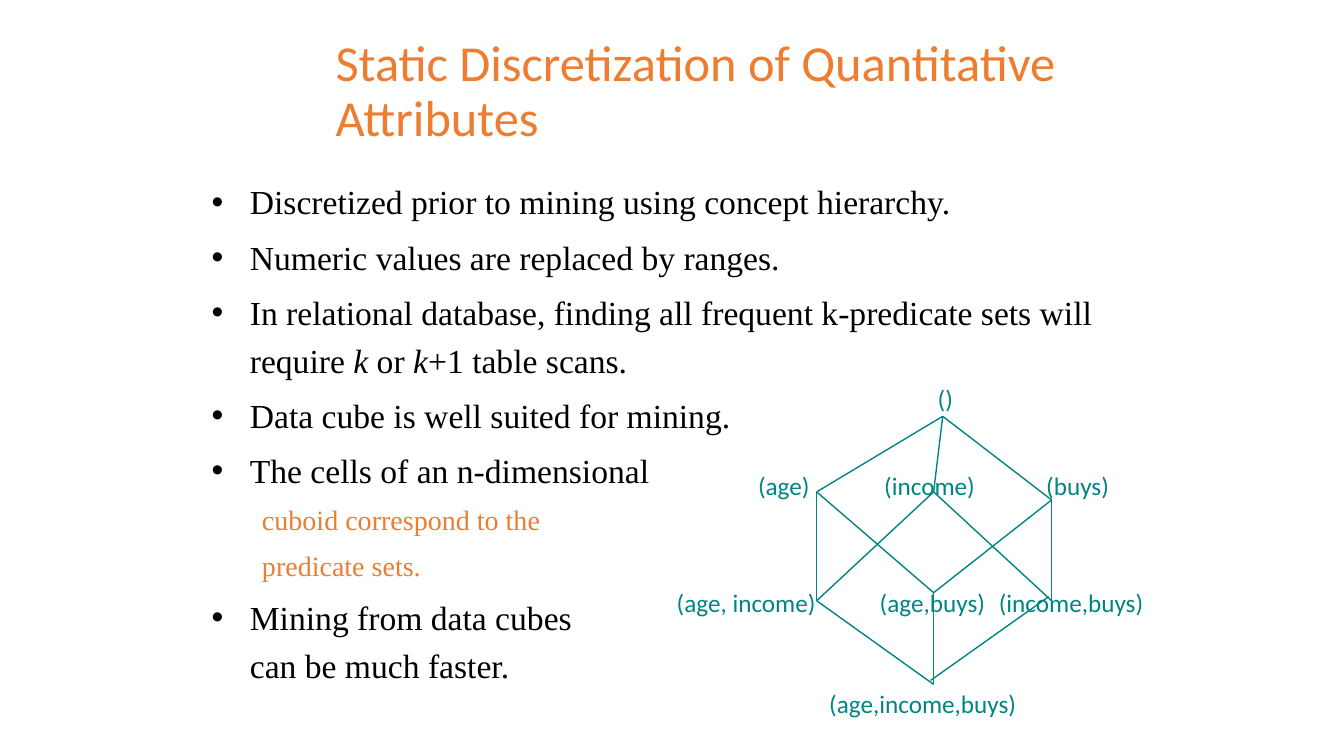
"""Build the slide on static discretization with its lattice of data cuboids."""
from dataclasses import dataclass

from lxml.etree import SubElement
from pptx import Presentation
from pptx.dml.color import RGBColor as Rgb
from pptx.enum.shapes import MSO_CONNECTOR as Connector
from pptx.enum.text import MSO_ANCHOR as Anchor, MSO_AUTO_SIZE as AutoSize, PP_ALIGN as Align
from pptx.oxml.ns import qn
from pptx.slide import Slide
from pptx.text.text import Font, _Paragraph as Paragraph
from pptx.util import Inches, Pt


@dataclass(frozen=True)
class Theme:
    accent: Rgb = Rgb(0xED, 0x7D, 0x31)
    ink: Rgb = Rgb(0, 0, 0)
    lattice: Rgb = Rgb(0x00, 0x84, 0x84)
    sans: str = "Calibri"
    serif: str = "Times New Roman"
    title_size: int = 36
    point_size: int = 24
    detail_size: int = 20
    label_size: int = 18
    edge_width: int = 1


@dataclass(frozen=True)
class Point:
    pieces: tuple[str, ...]
    detail: bool = False


@dataclass(frozen=True)
class Label:
    text: str
    left: float
    top: float
    width: float
    height: float = 0.3
    inset: float = 0


@dataclass(frozen=True)
class Edge:
    start: str
    end: str
    dx: float = 0
    dy: float = 0


THEME = Theme()

POINTS = (
    Point(("Discretized prior to mining using concept hierarchy.",)),
    Point(("Numeric values are replaced by ranges.",)),
    Point(("In relational database, finding all frequent k-predicate sets will require ",
           "k", " or ", "k", "+1 table scans.")),
    Point(("Data cube is well suited for mining.",)),
    Point(("The cells of an n-dimensional",)),
    Point(("cuboid correspond to the",), detail=True),
    Point(("predicate sets.",), detail=True),
    Point(("Mining from data cubes\ncan be much faster.",)),
)

NODES = {
    "apex": (9.35, 4.13),
    "age": (8.1, 4.88),
    "income": (9.26, 4.88),
    "buys": (10.43, 4.96),
    "age income": (8.1, 5.96),
    "age buys": (9.26, 5.88),
    "income buys": (10.43, 5.96),
    "base": (9.26, 6.79),
}

EDGES = (
    Edge("apex", "age"),
    Edge("apex", "income"),
    Edge("apex", "buys"),
    Edge("age", "age income"),
    Edge("age", "age buys"),
    Edge("income", "age income"),
    Edge("income", "income buys"),
    Edge("buys", "age buys"),
    Edge("buys", "income buys"),
    Edge("age income", "base"),
    Edge("age buys", "base"),
    Edge("income buys", "base", -0.03, -0.04),
)

LABELS = (
    Label("()", 9.18, 3.75, 0.37, 0.4, 0.1),
    Label("(age)", 7.47, 4.67, 0.56),
    Label("(income)", 8.67, 4.67, 1),
    Label("(buys)", 10.36, 4.67, 0.64),
    Label("(age, income)", 6.69, 5.83, 1.4),
    Label("(age,buys)", 8.72, 5.83, 1.05),
    Label("(income,buys)", 9.9, 5.83, 1.44),
    Label("(age,income,buys)", 8.2, 6.83, 1.88),
)


def style_font(font: Font, name: str, size: int, color: Rgb) -> None:
    """Set the face, size and colour of a font."""
    font.name = name
    font.size = Pt(size)
    font.color.rgb = color


def indent(paragraph: Paragraph, margin: float, first: float, bullet: bool) -> None:
    """Set the hanging indent and the bullet of a paragraph."""
    properties = paragraph._p.get_or_add_pPr()
    properties.set("marL", str(Inches(margin)))
    properties.set("indent", str(Inches(first)))
    if bullet:
        SubElement(properties, qn("a:buFont"), typeface="Arial")
        SubElement(properties, qn("a:buChar"), char="•")
    else:
        SubElement(properties, qn("a:buNone"))


def draw_title(slide: Slide) -> None:
    """Draw the heading of the slide."""
    title = slide.shapes.add_textbox(Inches(3.23), Inches(0.42), Inches(7.52), Inches(1))
    frame = title.text_frame
    frame.word_wrap = True
    frame.vertical_anchor = Anchor.MIDDLE
    frame.text = "Static Discretization of Quantitative Attributes"
    heading = frame.paragraphs[0]
    heading.line_spacing = 0.9
    style_font(heading.runs[0].font, THEME.sans, THEME.title_size, THEME.accent)


def draw_points(slide: Slide) -> None:
    """Draw the bulleted points and their detail lines."""
    body = slide.shapes.add_textbox(Inches(2), Inches(1.67), Inches(9.25), Inches(5.58))
    frame = body.text_frame
    frame.word_wrap = True
    for index, point in enumerate(POINTS):
        paragraph = frame.add_paragraph() if index else frame.paragraphs[0]
        size = THEME.detail_size if point.detail else THEME.point_size
        color = THEME.accent if point.detail else THEME.ink
        paragraph.text = point.pieces[0]
        for piece in point.pieces[1:]:
            run = paragraph.add_run()
            run.text = piece
            run.font.italic = piece == "k"
        for run in paragraph.runs:
            style_font(run.font, THEME.serif, size, color)
        paragraph.line_spacing = 1.2
        if index:
            paragraph.space_before = Pt(0.2 * size)
        if point.detail:
            paragraph.level = 1
            indent(paragraph, 0.81, -0.31, bullet=False)
        else:
            indent(paragraph, 0.38, -0.38, bullet=True)


def draw_edge(slide: Slide, edge: Edge) -> None:
    """Draw one line between two cuboids of the lattice."""
    (x1, y1), (x2, y2) = NODES[edge.start], NODES[edge.end]
    line = slide.shapes.add_connector(
        Connector.STRAIGHT,
        Inches(x1 + edge.dx), Inches(y1 + edge.dy),
        Inches(x2 + edge.dx), Inches(y2 + edge.dy),
    )
    line.line.color.rgb = THEME.lattice
    line.line.width = Pt(THEME.edge_width)
    SubElement(line._element.spPr, qn("a:effectLst"))


def draw_label(slide: Slide, label: Label) -> None:
    """Draw the name of one cuboid."""
    box = slide.shapes.add_textbox(
        Inches(label.left), Inches(label.top), Inches(label.width), Inches(label.height))
    frame = box.text_frame
    frame.word_wrap = False
    frame.auto_size = AutoSize.SHAPE_TO_FIT_TEXT
    frame.margin_left = frame.margin_right = Inches(label.inset)
    frame.margin_top = frame.margin_bottom = Inches(label.inset / 2)
    frame.text = label.text
    name = frame.paragraphs[0]
    name.alignment = Align.RIGHT
    style_font(name.runs[0].font, THEME.sans, THEME.label_size, THEME.lattice)


def main() -> None:
    """Build the slide and save it."""
    deck = Presentation()
    deck.slide_width, deck.slide_height = Inches(13.33), Inches(7.5)
    slide = deck.slides.add_slide(deck.slide_layouts[6])
    draw_title(slide)
    draw_points(slide)
    for edge in EDGES:
        draw_edge(slide, edge)
    for label in LABELS:
        draw_label(slide, label)
    deck.save("out.pptx")


if __name__ == "__main__":
    main()
